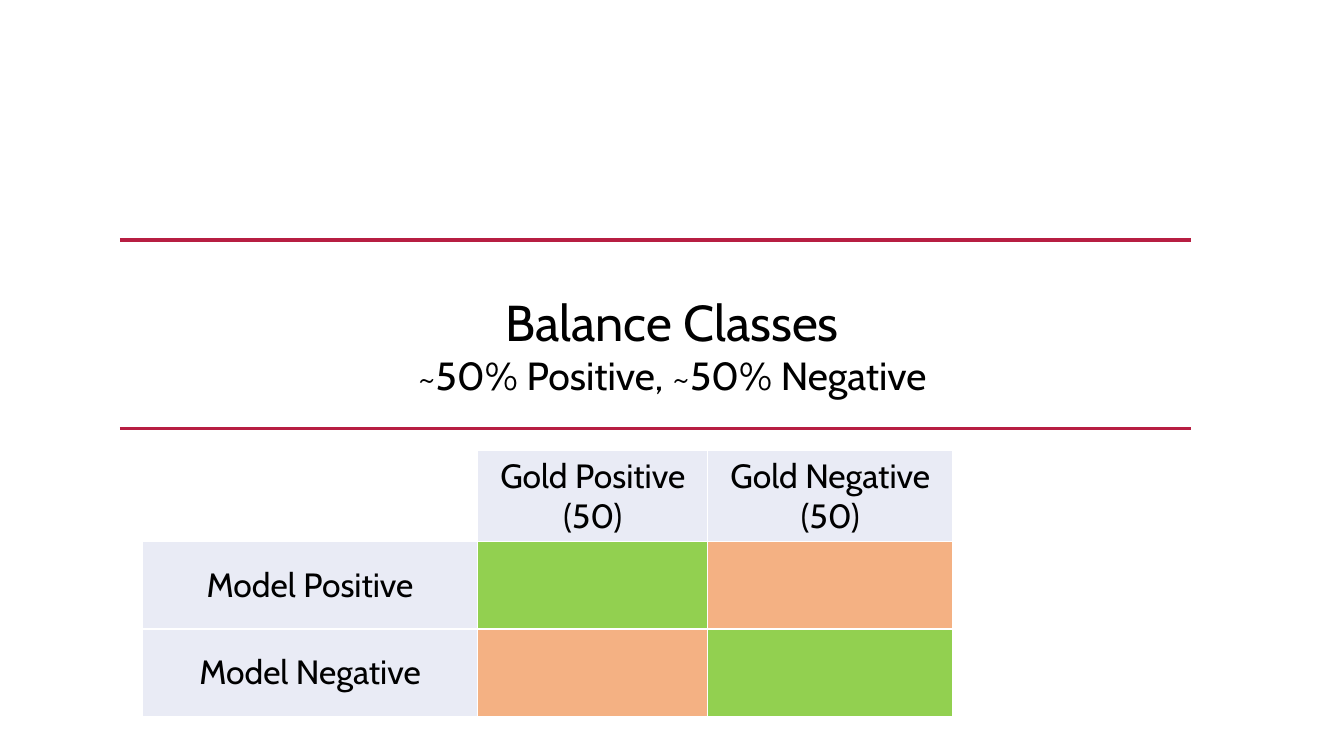
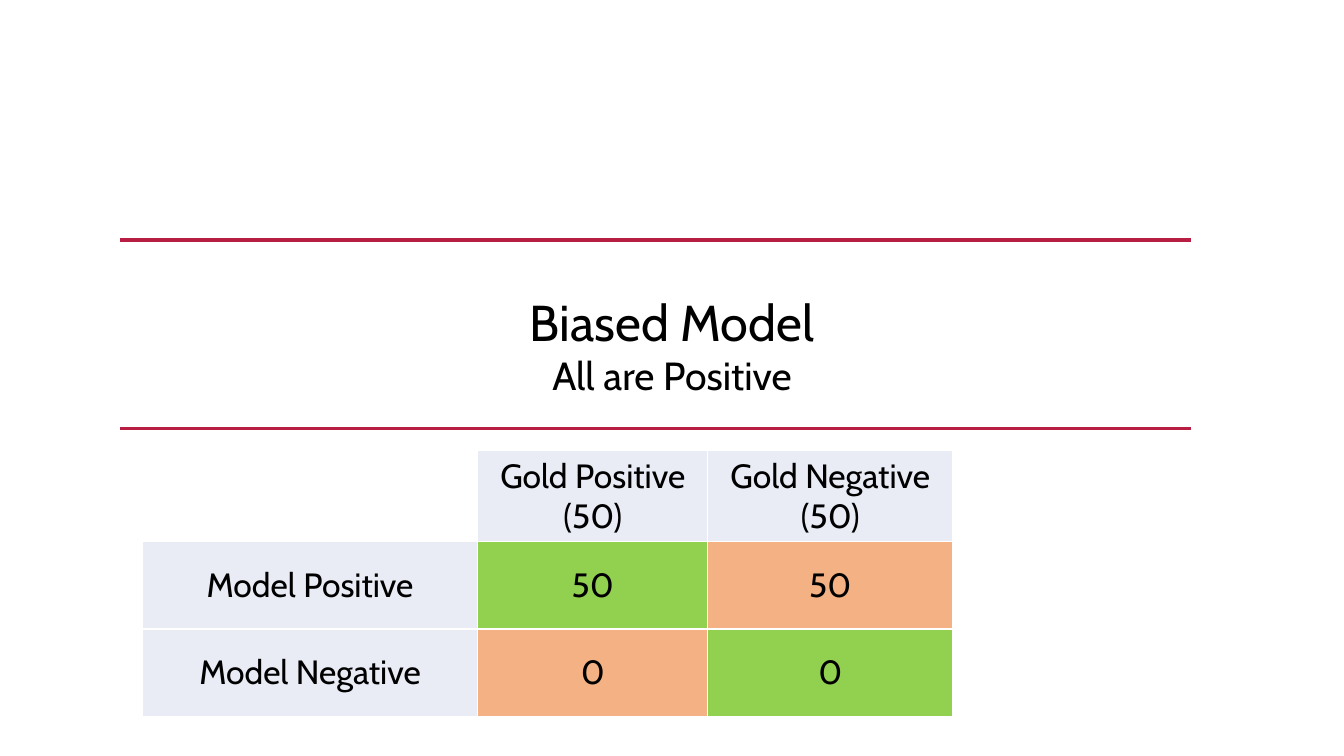
"""Build two slides that show a confusion matrix under a ruled heading."""
import pptx
import pptx.dml.color
import pptx.enum.shapes
import pptx.enum.text
import pptx.oxml
import pptx.oxml.ns
import pptx.util
from pptx.util import Inches

RGBColor = pptx.dml.color.RGBColor
BLACK = RGBColor(0x00, 0x00, 0x00)
CRIMSON = RGBColor(0xB7, 0x1E, 0x42)
LABEL = RGBColor(0xE9, 0xEB, 0xF5)
CORRECT = RGBColor(0x92, 0xD0, 0x50)
WRONG = RGBColor(0xF4, 0xB1, 0x83)
FONT = "Cabin"
NAMESPACE = pptx.oxml.ns.nsdecls("a")

COLUMN_WIDTHS = [3.33, 2.28, 2.43]
ROW_HEIGHT = 0.87
FILLS = [
    [None, LABEL, LABEL],
    [LABEL, CORRECT, WRONG],
    [LABEL, WRONG, CORRECT],
]
SLIDES = [
    ("Balance Classes", "~50% Positive, ~50% Negative", [["", ""], ["", ""]]),
    ("Biased Model", "All are Positive", [["50", "50"], ["0", "0"]]),
]


def write_lines(text_frame, lines):
    """Write centred paragraphs from (text, size) pairs."""
    for index, (text, size) in enumerate(lines):
        paragraph = text_frame.add_paragraph() if index else text_frame.paragraphs[0]
        paragraph.alignment = pptx.enum.text.PP_ALIGN.CENTER
        run = paragraph.add_run()
        run.text = text
        run.font.name = FONT
        run.font.size = pptx.util.Pt(size)
        run.font.color.rgb = BLACK


def add_white_borders(cell):
    """Give a table cell a thin white line on each side."""
    properties = cell._tc.get_or_add_tcPr()
    for side in ("lnL", "lnR", "lnT", "lnB"):
        properties.append(pptx.oxml.parse_xml(
            f'<a:{side} {NAMESPACE} w="12700"><a:solidFill>'
            f'<a:srgbClr val="FFFFFF"/></a:solidFill></a:{side}>'))


presentation = pptx.Presentation()
presentation.slide_width = Inches(13.33)
presentation.slide_height = Inches(7.5)

for title, subtitle, counts in SLIDES:
    slide = presentation.slides.add_slide(presentation.slide_layouts[6])

    for top in (2.38, 4.25):
        rule = slide.shapes.add_connector(
            pptx.enum.shapes.MSO_CONNECTOR.STRAIGHT,
            Inches(1.19), Inches(top), Inches(11.81), Inches(top))
        rule.line.color.rgb = CRIMSON
        rule.line.width = pptx.util.Pt(2.5)
        rule._element.spPr.append(pptx.oxml.parse_xml(f"<a:effectLst {NAMESPACE}/>"))

    heading = slide.shapes.add_textbox(
        Inches(0), Inches(2.84), presentation.slide_width, Inches(1.18))
    heading.text_frame.word_wrap = True
    heading.text_frame.auto_size = pptx.enum.text.MSO_AUTO_SIZE.SHAPE_TO_FIT_TEXT
    write_lines(heading.text_frame, [(title, 36), (subtitle, 28)])

    texts = [
        ["", "Gold Positive\n(50)", "Gold Negative\n(50)"],
        ["Model Positive", *counts[0]],
        ["Model Negative", *counts[1]],
    ]
    table = slide.shapes.add_table(
        len(texts), len(COLUMN_WIDTHS), Inches(1.41), Inches(4.47),
        Inches(sum(COLUMN_WIDTHS)), Inches(ROW_HEIGHT * len(texts))).table
    table.first_row = False
    table.horz_banding = False
    for column, width in zip(table.columns, COLUMN_WIDTHS):
        column.width = Inches(width)
    for row, row_texts, row_fills in zip(table.rows, texts, FILLS):
        row.height = Inches(ROW_HEIGHT)
        for cell, text, fill in zip(row.cells, row_texts, row_fills):
            add_white_borders(cell)
            cell.vertical_anchor = pptx.enum.text.MSO_ANCHOR.MIDDLE
            if fill is None:
                cell.fill.background()
            else:
                cell.fill.solid()
                cell.fill.fore_color.rgb = fill
            if text:
                write_lines(cell.text_frame, [(line, 24) for line in text.split("\n")])

presentation.save("out.pptx")
